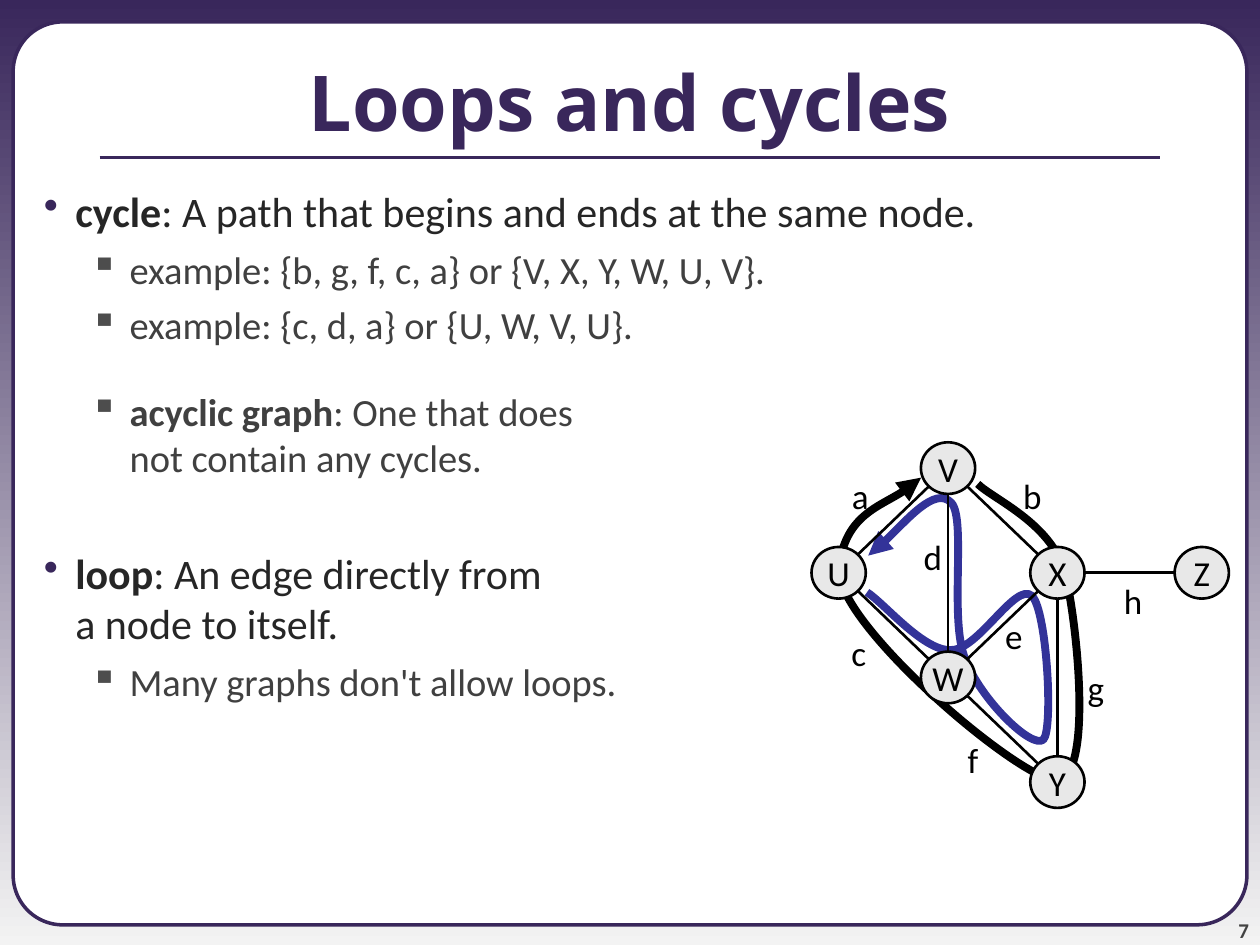
from lxml.etree import SubElement
from pptx import Presentation
from pptx.dml.color import RGBColor
from pptx.enum.shapes import MSO_CONNECTOR as Link, MSO_SHAPE as Preset
from pptx.enum.text import MSO_ANCHOR as Anchor, MSO_AUTO_SIZE as Fit, PP_ALIGN as Align
from pptx.oxml.ns import qn
from pptx.util import Pt

COLORS = {
    "purple": "39275B", "mist": "F3F3F3", "white": "FFFFFF", "black": "000000",
    "node": "E8E8E8", "blue": "333399", "number": "424242",
    "main": "262626", "sub": "404040", "sub_bullet": "4D4D4D",
}

# Each level: size, text colour, bullet, bullet colour, left margin, hanging indent
LEVELS = [
    (24, "main", "•", "purple", 36, 18),
    (22, "sub", "▪", "sub_bullet", 67, 22.5),
]
# Each point: level, space before, bold term, rest
POINTS = [
    (0, 6, "cycle", ": A path that begins and ends at the same node."),
    (1, 5.5, "", "example: {b, g, f, c, a} or {V, X, Y, W, U, V}."),
    (1, 5.5, "", "example: {c, d, a} or {U, W, V, U}."),
    (1, 23, "acyclic graph", ": One that does\nnot contain any cycles."),
    (0, 38.5, "loop", ": An edge directly from\na node to itself."),
    (1, 5.5, "", "Many graphs don't allow loops."),
]

# Graph: nodes sit on a grid of columns and equal rows
NODE_W, NODE_H = 31, 29.5
COLUMNS = [0, 62.5, 125, 207.5]
ROW_STEP = 59.8
NODES = {"X": (2, 1), "U": (0, 1), "V": (1, 0), "W": (1, 2), "Z": (3, 1), "Y": (2, 3)}
EDGES = ["VU", "WU", "WX", "XZ", "VX", "VW", "WY", "XY"]
LABELS = {"a": (15.8, 15), "c": (15, 104.4), "b": (113.8, 15), "e": (103.5, 95),
          "d": (57, 49.7), "f": (80.2, 165.6), "g": (150.5, 124.5), "h": (171.4, 75)}
# Start point, then two handles and an end point for each Bezier segment
OUTER_CYCLE = [
    (95, 23.8), (103.7, 32.4), (136.8, 46.1), (144.7, 74.2),
    (151.9, 102.2), (161.3, 193.7), (139.7, 193),
    (118.8, 193), (13, 103), (15.8, 72),
    (18.7, 41.8), (52.6, 31), (62.6, 20.2),
]
INNER_PATH = [
    (32.4, 64.8), (40.3, 59.8), (70.6, 24.5), (79.9, 34.6),
    (88.6, 43.9), (78.5, 101.5), (87.8, 123.8),
    (96.5, 146.9), (126, 175.7), (132.5, 169.9),
    (138.2, 164.2), (134.6, 96.5), (126, 87.8),
    (116.6, 79.2), (95, 119.5), (79.2, 118.8),
    (63.4, 118.8), (41.8, 92.2), (31.7, 85.7),
]


def rgb(name):
    return RGBColor.from_string(COLORS[name])


def add_text(para, text, size=20, font="Calibri", color="black", bold=False, align=None):
    if align is not None:
        para.alignment = align
    for index, line in enumerate(text.split("\n")):
        if index:
            para.add_line_break()
        span = para.add_run()
        span.text = line
        span.font.size, span.font.name, span.font.bold = Pt(size), font, bold
        span.font.color.rgb = rgb(color)


def add_box(page, left, top, width, height, wrap=True):
    box = page.shapes.add_textbox(Pt(left), Pt(top), Pt(width), Pt(height))
    box.text_frame.word_wrap = wrap
    return box.text_frame


def add_preset(page, preset, left, top, width, height, fill, line, weight):
    shape = page.shapes.add_shape(preset, Pt(left), Pt(top), Pt(width), Pt(height))
    shape.shadow.inherit = False
    shape.fill.solid()
    shape.fill.fore_color.rgb = rgb(fill)
    shape.line.color.rgb = rgb(line)
    shape.line.width = Pt(weight)
    return shape


def add_line(page, start, end, color, weight):
    line = page.shapes.add_connector(Link.STRAIGHT, *map(Pt, start + end))
    line.line.color.rgb = rgb(color)
    line.line.width = Pt(weight)
    SubElement(line.element.spPr, qn("a:effectLst"))


def add_curve(page, left, top, points, color, arrow):
    """Draw joined cubic Bezier segments with an arrowhead at one end."""
    start, *rest = [(Pt(left + x), Pt(top + y)) for x, y in points]
    builder = page.shapes.build_freeform(*start, scale=1.0)
    builder.add_line_segments(rest, close=False)
    curve = builder.convert_to_shape()
    curve.shadow.inherit = False
    curve.fill.background()
    curve.line.color.rgb = rgb(color)
    curve.line.width = Pt(4.5)
    SubElement(curve.line._get_or_add_ln(), qn(f"a:{arrow}"), type="triangle")
    # Turn every three line steps into one cubic segment
    outline = next(curve.element.iter(qn("a:path")))
    steps = outline.findall(qn("a:lnTo"))
    for first in range(0, len(steps), 3):
        segment = SubElement(outline, qn("a:cubicBezTo"))
        for step in steps[first:first + 3]:
            segment.append(step[0])
            outline.remove(step)


def draw_frame(page, left, top, width, height):
    # Background gradient
    fill = page.background.fill
    fill.gradient()
    fill.gradient_angle = 270
    for stop, (position, color) in zip(fill.gradient_stops, [(0, "purple"), (1, "mist")]):
        stop.position = position
        stop.color.rgb = rgb(color)
    # Rounded panel, kept behind the title
    panel = add_preset(page, Preset.ROUNDED_RECTANGLE, left, top, width, height,
                       "white", "purple", 2)
    panel.adjustments[0] = 0.055
    page.shapes.title.element.addprevious(panel.element)
    # Slide number
    frame = add_box(page, 653.75, 509.75, 60, 28.8)
    frame.margin_left = frame.margin_right = frame.margin_top = frame.margin_bottom = 0
    frame.vertical_anchor = Anchor.BOTTOM
    add_text(frame.paragraphs[0], "7", size=12, color="number", bold=True, align=Align.RIGHT)


def draw_title(page, left, top, width, height):
    title = page.shapes.title
    title.left, title.top, title.width, title.height = map(Pt, (left, top, width, height))
    frame = title.text_frame
    frame.auto_size = Fit.NONE
    frame.vertical_anchor = Anchor.MIDDLE
    add_text(frame.paragraphs[0], "Loops and cycles", size=44, font="Open Sans",
             color="purple", bold=True, align=Align.CENTER)
    # Rule under the title
    add_line(page, (left + 57, 90), (left + width - 57, 90), "purple", 2.25)


def draw_body(page, left, top, width, height):
    frame = add_box(page, left, top, width, height)
    for index, (level, gap, term, rest) in enumerate(POINTS):
        size, color, bullet, bullet_color, margin, hang = LEVELS[level]
        para = frame.add_paragraph() if index else frame.paragraphs[0]
        para.level = level
        para.space_before = Pt(gap)
        props = para._p.get_or_add_pPr()
        props.set("marL", str(Pt(margin)))
        props.set("indent", str(-Pt(hang)))
        tint = SubElement(props, qn("a:buClr"))
        SubElement(tint, qn("a:srgbClr"), val=COLORS[bullet_color])
        SubElement(props, qn("a:buChar"), char=bullet)
        if term:
            add_text(para, term, size=size, color=color, bold=True)
        add_text(para, rest, size=size, color=color)


def draw_graph(page, left, top):
    # Highlighted cycles
    add_curve(page, left, top, OUTER_CYCLE, "black", "tailEnd")
    add_curve(page, left, top, INNER_PATH, "blue", "headEnd")
    # Nodes
    centers = {}
    for name, (column, row) in NODES.items():
        x, y = left + COLUMNS[column], top + row * ROW_STEP
        centers[name] = (x + NODE_W / 2, y + NODE_H / 2)
        node = add_preset(page, Preset.OVAL, x, y, NODE_W, NODE_H, "node", "black", 1.5)
        node.text_frame.word_wrap = False
        node.text_frame.vertical_anchor = Anchor.MIDDLE
        add_text(node.text_frame.paragraphs[0], name, align=Align.CENTER)
    # Edges run from rim to rim
    for first, second in EDGES:
        (x1, y1), (x2, y2) = centers[first], centers[second]
        side_x, side_y = (x2 > x1) - (x2 < x1), (y2 > y1) - (y2 < y1)
        reach = 0.71 if side_x and side_y else 1
        dx, dy = side_x * reach * NODE_W / 2, side_y * reach * NODE_H / 2
        add_line(page, (x1 + dx, y1 + dy), (x2 - dx, y2 - dy), "black", 1.5)
    # Edge labels
    for name, (x, y) in LABELS.items():
        frame = add_box(page, left + x, top + y, 24, 31.7, wrap=False)
        add_text(frame.paragraphs[0], name, align=Align.CENTER)


def main():
    deck = Presentation()
    deck.slide_width, deck.slide_height = Pt(720), Pt(540)
    page = deck.slides.add_slide(deck.slide_layouts[5])
    draw_frame(page, 7.5, 12.5, 705, 516)
    draw_title(page, 0, 12.5, 720, 90)
    draw_body(page, 0, 102.5, 720, 437.5)
    draw_graph(page, 463.75, 252.75)
    deck.save("out.pptx")


if __name__ == "__main__":
    main()
